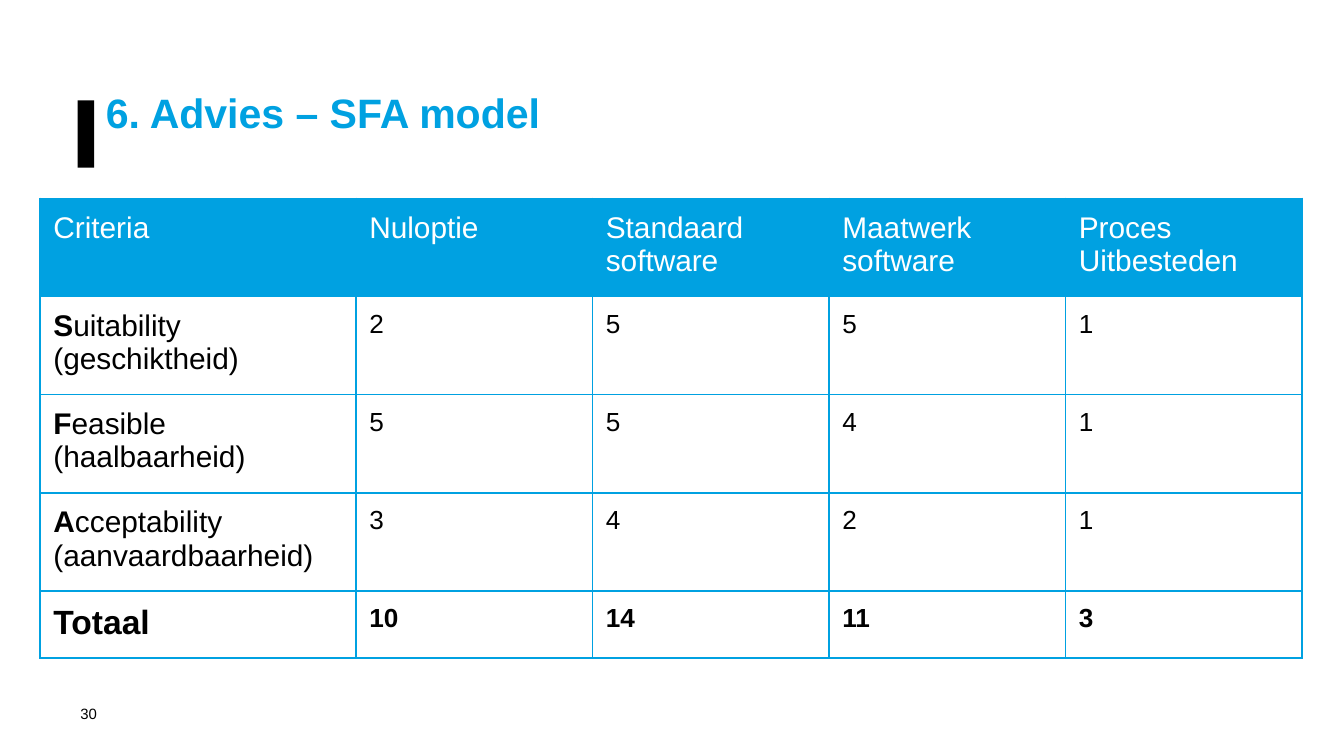
"""Build the SFA model advice slide with its scoring table."""
from dataclasses import dataclass

from lxml import etree
from pptx import Presentation
from pptx.dml.color import RGBColor
from pptx.enum import shapes, text
from pptx.oxml import ns
from pptx.util import Cm, Pt


@dataclass(frozen=True)
class Theme:
    font: str = "Arial"
    accent: RGBColor = RGBColor(0x00, 0xA1, 0xE1)
    ink: RGBColor = RGBColor(0, 0, 0)
    paper: RGBColor = RGBColor(255, 255, 255)
    title: int = 22
    total: int = 18
    label: int = 16
    score: int = 14
    number: int = 8


@dataclass(frozen=True)
class Run:
    text: str
    size: int
    color: RGBColor
    bold: bool = False


@dataclass(frozen=True)
class Criterion:
    name: str
    dutch: str
    scores: tuple[int, ...]


THEME = Theme()
HEADERS = ("Criteria", "Nuloptie", "Standaard\nsoftware", "Maatwerk\nsoftware",
           "Proces Uitbesteden")
CRITERIA = (
    Criterion("Suitability", "(geschiktheid)", (2, 5, 5, 1)),
    Criterion("Feasible", "(haalbaarheid)", (5, 5, 4, 1)),
    Criterion("Acceptability", "(aanvaardbaarheid)", (3, 4, 2, 1)),
)
LABEL_WIDTH, OPTION_WIDTH = Cm(5.97), Cm(4.47)
ROW_HEIGHT, TOTAL_HEIGHT = Cm(1.76), Cm(1.22)
PAD, SCORE_PAD = Cm(0.25), Cm(0.1)


def write(tf, paragraphs: list[list[Run]], leading: int | None = None) -> None:
    """Write left-aligned paragraphs run by run."""
    for i, runs in enumerate(paragraphs):
        p = tf.paragraphs[0] if i == 0 else tf.add_paragraph()
        p.alignment = text.PP_ALIGN.LEFT
        if leading:
            p.line_spacing = Pt(leading)
        for run in runs:
            r = p.add_run()
            r.text = run.text
            r.font.name = THEME.font
            r.font.size = Pt(run.size)
            r.font.bold = run.bold
            r.font.color.rgb = run.color


def add_borders(cell) -> None:
    """Give a cell a thin accent line on every side."""
    tc_pr = cell._tc.get_or_add_tcPr()
    for side in ("lnL", "lnR", "lnT", "lnB"):
        ln = etree.SubElement(tc_pr, ns.qn(f"a:{side}"), w=str(Pt(1)))
        fill = etree.SubElement(ln, ns.qn("a:solidFill"))
        etree.SubElement(fill, ns.qn("a:srgbClr"), val=str(THEME.accent))


def fill_cell(cell, paragraphs: list[list[Run]], pad: Cm = PAD,
              leading: int | None = None, fill: RGBColor | None = None) -> None:
    """Format one table cell and write its text."""
    add_borders(cell)
    if fill is None:
        cell.fill.background()
    else:
        cell.fill.solid()
        cell.fill.fore_color.rgb = fill
    cell.margin_left = cell.margin_right = PAD
    cell.margin_top = cell.margin_bottom = pad
    cell.vertical_anchor = text.MSO_ANCHOR.TOP
    write(cell.text_frame, paragraphs, leading)


def fill_scores(table, row: int, scores: tuple[int, ...], bold: bool = False) -> None:
    """Write one row of option scores."""
    for col, score in enumerate(scores, 1):
        run = Run(str(score), THEME.score, THEME.ink, bold)
        fill_cell(table.cell(row, col), [[run]], SCORE_PAD, 20)


def add_title(s, title: str) -> None:
    """Place the title beside its black marker."""
    sp = s.shapes.add_shape(shapes.MSO_SHAPE.RECTANGLE,
                            Cm(1.47), Cm(1.9), Cm(0.31), Cm(1.27))
    sp.shadow.inherit = False
    sp.fill.solid()
    sp.fill.fore_color.rgb = THEME.ink
    sp.line.fill.background()
    sp = s.shapes.title
    sp.left, sp.top, sp.width, sp.height = Cm(2), Cm(1.73), Cm(20.98), Cm(1.27)
    tf = sp.text_frame
    tf.margin_left = tf.margin_right = tf.margin_top = tf.margin_bottom = 0
    tf.vertical_anchor = text.MSO_ANCHOR.TOP
    tf.auto_size = text.MSO_AUTO_SIZE.NONE
    write(tf, [[Run(title, THEME.title, THEME.accent, True)]], 24)


def add_scores_table(s) -> None:
    """Draw the criteria, their scores and the totals."""
    n_rows, n_options = len(CRITERIA) + 2, len(HEADERS) - 1
    width = LABEL_WIDTH + n_options * OPTION_WIDTH
    height = (n_rows - 1) * ROW_HEIGHT + TOTAL_HEIGHT
    table = s.shapes.add_table(n_rows, len(HEADERS), Cm(0.76), Cm(3.75),
                               width, height).table
    table.first_row = table.horz_banding = False
    for i, column in enumerate(table.columns):
        column.width = OPTION_WIDTH if i else LABEL_WIDTH
    for i, row in enumerate(table.rows):
        row.height = ROW_HEIGHT if i < n_rows - 1 else TOTAL_HEIGHT
    for col, header in enumerate(HEADERS):
        lines = [[Run(line, THEME.label, THEME.paper)] for line in header.split("\n")]
        fill_cell(table.cell(0, col), lines, fill=THEME.accent)
    for row, criterion in enumerate(CRITERIA, 1):
        name = [Run(criterion.name[0], THEME.label, THEME.ink, True),
                Run(criterion.name[1:], THEME.label, THEME.ink)]
        dutch = [Run(criterion.dutch, THEME.label, THEME.ink)]
        fill_cell(table.cell(row, 0), [name, dutch])
        fill_scores(table, row, criterion.scores)
    totals = tuple(map(sum, zip(*(c.scores for c in CRITERIA))))
    fill_cell(table.cell(n_rows - 1, 0), [[Run("Totaal", THEME.total, THEME.ink, True)]])
    fill_scores(table, n_rows - 1, totals, bold=True)


def add_page_number(s, number: int) -> None:
    """Write the page number at the lower left."""
    tf = s.shapes.add_textbox(Cm(1.27), Cm(13.2), Cm(10.2), Cm(0.6)).text_frame
    tf.word_wrap = True
    write(tf, [[Run(str(number), THEME.number, THEME.ink)]])


def main() -> None:
    """Build and save the presentation."""
    prs = Presentation()
    prs.slide_width, prs.slide_height = Cm(25.4), Cm(14.29)
    s = prs.slides.add_slide(prs.slide_layouts.get_by_name("Title Only"))
    add_page_number(s, 30)
    add_title(s, "6. Advies – SFA model")
    add_scores_table(s)
    prs.save("out.pptx")


if __name__ == "__main__":
    main()
